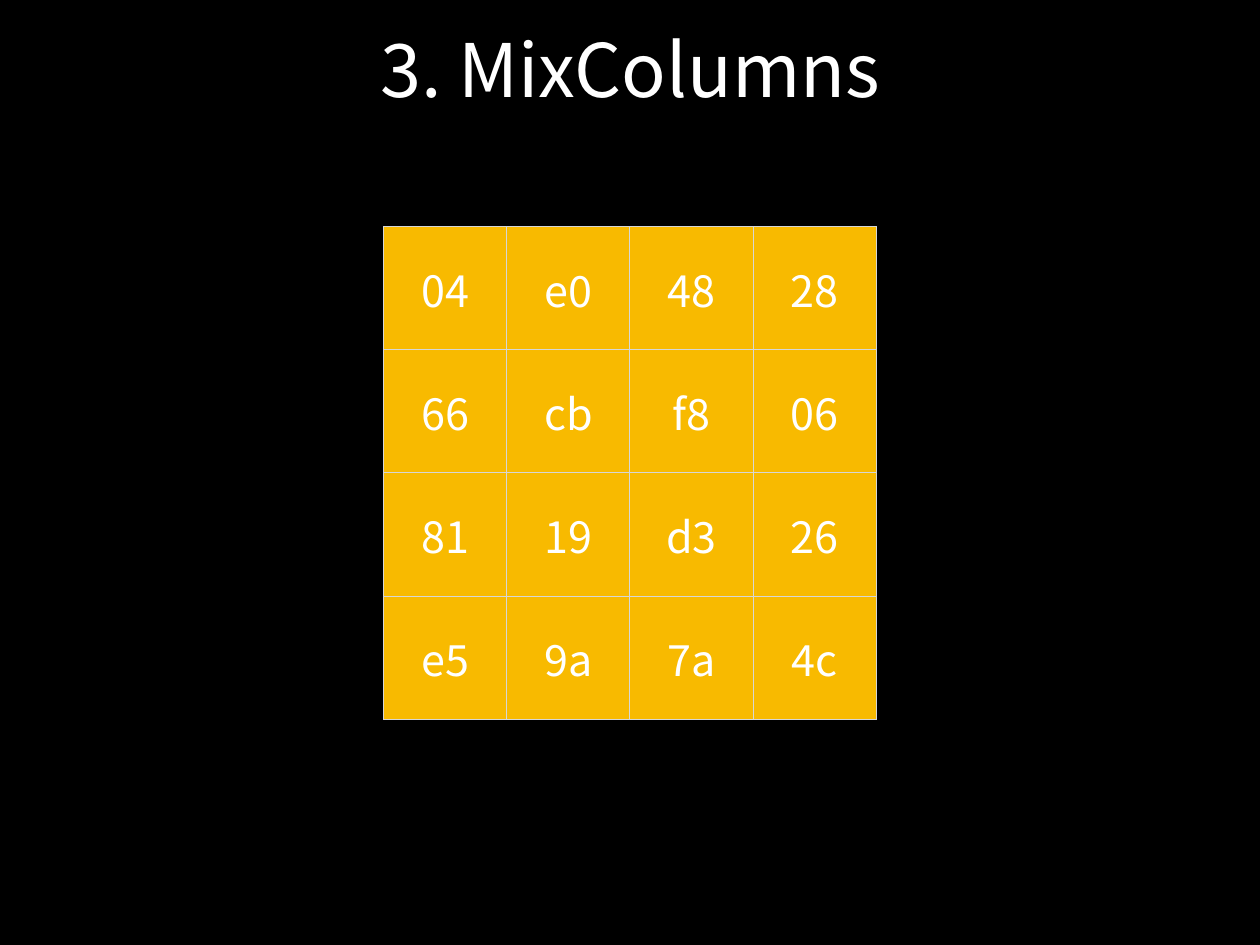
from lxml.etree import SubElement
from pptx import Presentation
from pptx.dml.color import RGBColor
from pptx.enum.text import MSO_ANCHOR, MSO_AUTO_SIZE, PP_ALIGN
from pptx.oxml.ns import qn
from pptx.util import Inches, Pt

SLIDE_WIDTH, SLIDE_HEIGHT = Inches(14.22), Inches(10.67)
CELL_SIDE = Inches(1.39)
INSET = Inches(0.06)
FONT = "Noto Sans CJK KR"

BLACK = RGBColor(0x00, 0x00, 0x00)
WHITE = RGBColor(0xFF, 0xFF, 0xFF)
AMBER = RGBColor(0xF8, 0xBA, 0x00)
INNER_GREY = RGBColor(0xD6, 0xD7, 0xD6)
OUTER_GREY = RGBColor(0xD6, 0xD6, 0xD6)

STATE = [
    ["04", "e0", "48", "28"],
    ["66", "cb", "f8", "06"],
    ["81", "19", "d3", "26"],
    ["e5", "9a", "7a", "4c"],
]


def write_text(frame, text, *, size, color=WHITE, align=PP_ALIGN.CENTER):
    """Put one formatted line into a text frame."""
    paragraph = frame.paragraphs[0]
    paragraph.alignment = align
    run = paragraph.add_run()
    run.text = text
    run.font.name = FONT
    run.font.size = Pt(size)
    run.font.color.rgb = color


def set_insets(holder):
    """Give a cell or a text frame the same margin on every side."""
    holder.margin_left = holder.margin_right = INSET
    holder.margin_top = holder.margin_bottom = INSET
    holder.vertical_anchor = MSO_ANCHOR.MIDDLE


def set_border(cell, side, color):
    line = SubElement(cell._tc.get_or_add_tcPr(), qn(f"a:ln{side}"), w=str(Pt(1)))
    fill = SubElement(line, qn("a:solidFill"))
    SubElement(fill, qn("a:srgbClr"), val=str(color))


def add_title(slide, text):
    title = slide.shapes.title
    title.width, title.height = Inches(12.14), Inches(0.83)
    title.left, title.top = (SLIDE_WIDTH - title.width) // 2, Inches(0.35)
    frame = title.text_frame
    frame.word_wrap = True
    frame.auto_size = MSO_AUTO_SIZE.NONE
    set_insets(frame)
    write_text(frame, text, size=60)


def add_state_table(slide, state):
    """Draw the byte matrix as square cells, centred across the slide."""
    row_count, column_count = len(state), len(state[0])
    width, height = CELL_SIDE * column_count, CELL_SIDE * row_count
    left, top = (SLIDE_WIDTH - width) // 2, int(SLIDE_HEIGHT * 0.24)
    table = slide.shapes.add_table(
        row_count, column_count, left, top, width, height
    ).table
    table.first_row = table.horz_banding = False

    for row, values in enumerate(state):
        for column, value in enumerate(values):
            cell = table.cell(row, column)
            set_insets(cell)
            write_text(cell.text_frame, value, size=35)
            # Borders come before the fill in the cell properties
            outer_sides = {
                "L": column == 0,
                "R": column == column_count - 1,
                "T": row == 0,
                "B": row == row_count - 1,
            }
            for side, is_outer in outer_sides.items():
                set_border(cell, side, OUTER_GREY if is_outer else INNER_GREY)
            cell.fill.solid()
            cell.fill.fore_color.rgb = AMBER


def main():
    presentation = Presentation()
    presentation.slide_width = SLIDE_WIDTH
    presentation.slide_height = SLIDE_HEIGHT

    # Title-only slide on black
    slide = presentation.slides.add_slide(presentation.slide_layouts[5])
    slide.background.fill.solid()
    slide.background.fill.fore_color.rgb = BLACK

    add_title(slide, "3. MixColumns")
    add_state_table(slide, STATE)
    presentation.save("out.pptx")


if __name__ == "__main__":
    main()
